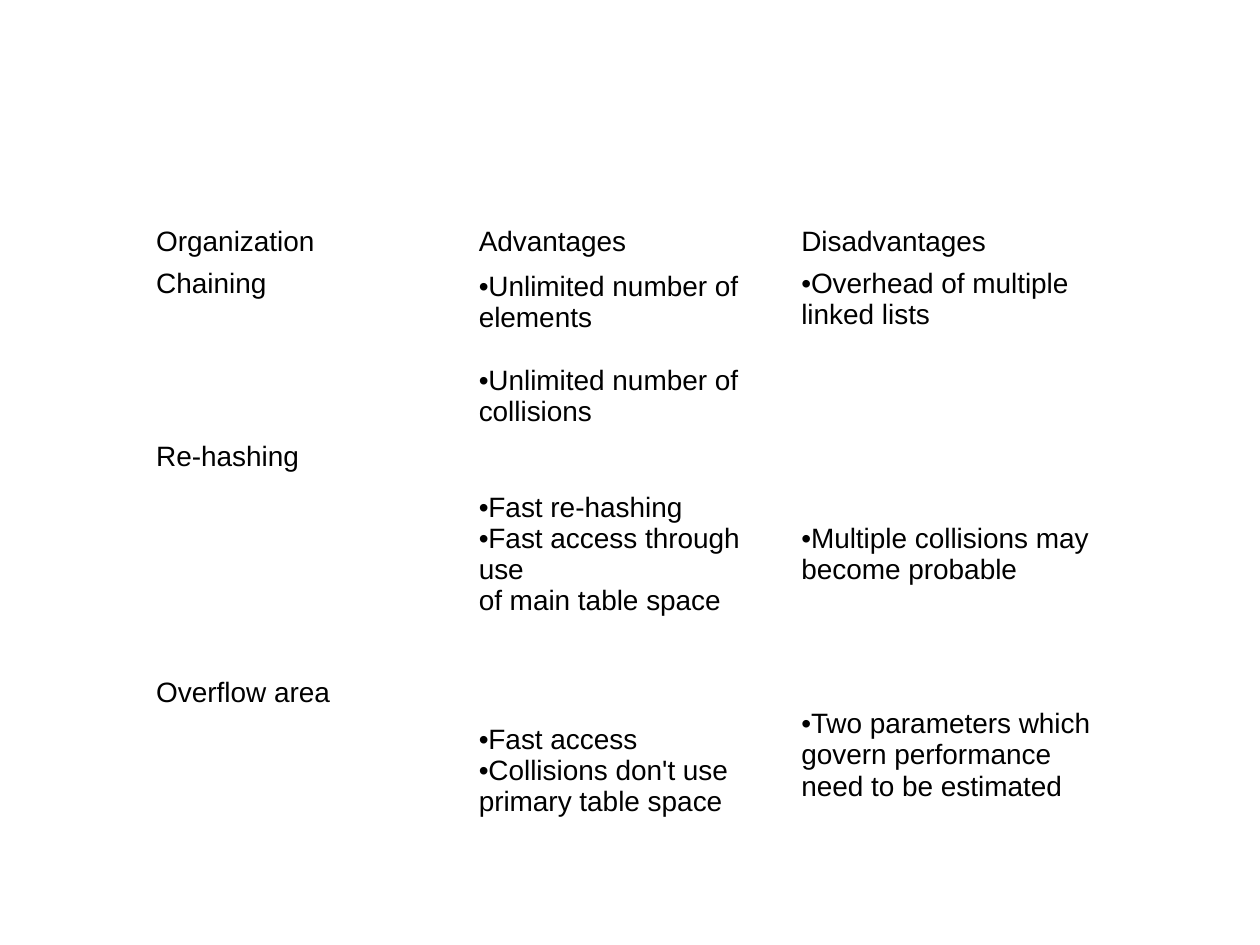
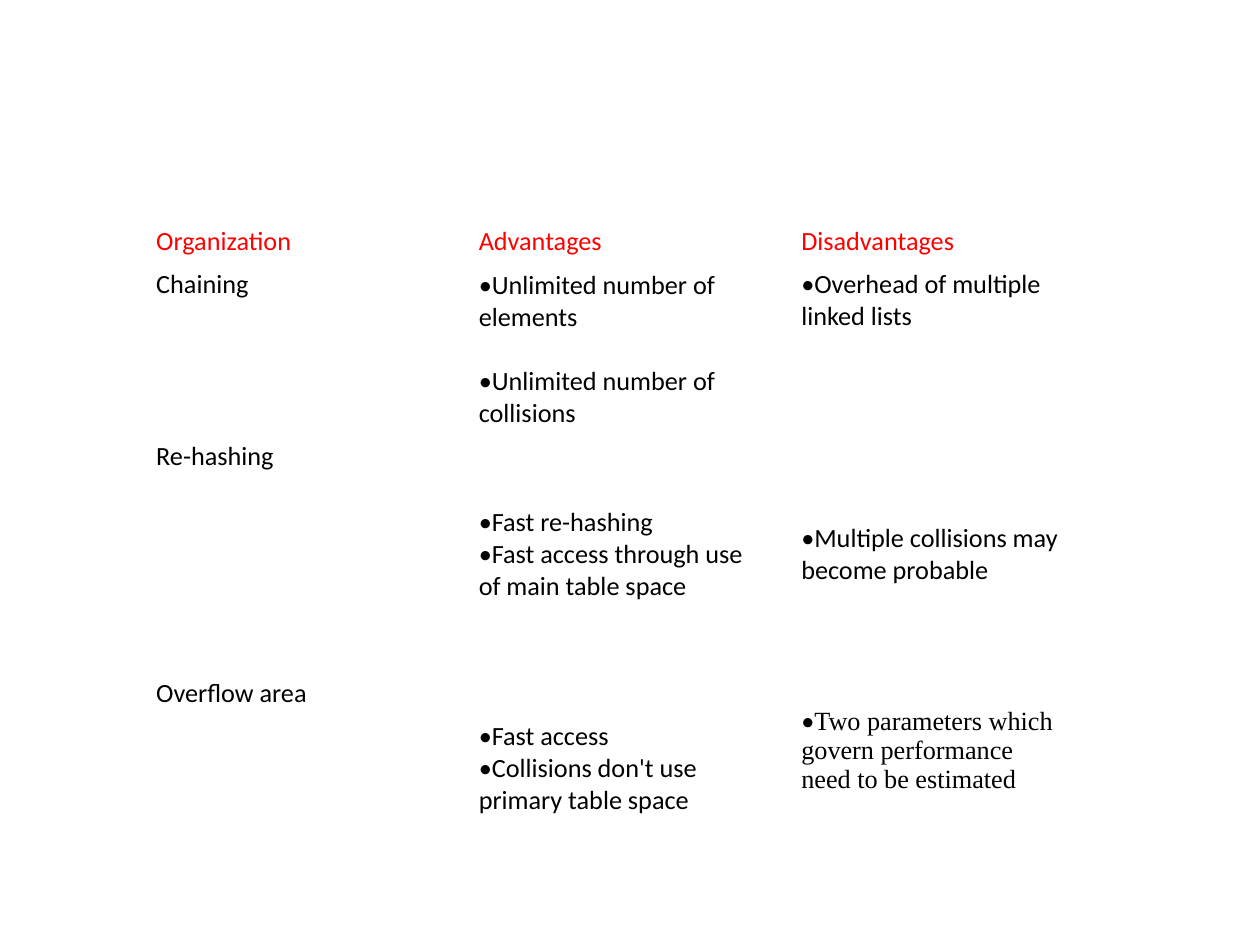
from dataclasses import dataclass

from lxml.etree import SubElement
from pptx import Presentation
from pptx.dml.color import RGBColor
from pptx.enum.text import MSO_ANCHOR
from pptx.oxml.ns import qn
from pptx.util import Inches, Pt

BLACK = RGBColor(0, 0, 0)
RED = RGBColor(255, 0, 0)

SLIDE_WIDTH = Inches(10)
SLIDE_HEIGHT = Inches(7.5)
TABLE_LEFT = Inches(1.15)
TABLE_TOP = Inches(1.75)
TABLE_WIDTH = 3 * Inches(2.56)
SIDE_MARGIN = Inches(0.09)
EDGE_MARGIN = Inches(0.04)
BLANK_LINE = Inches(0.25)

HEADINGS = ("Organization", "Advantages", "Disadvantages")
METHODS = (
    ("Chaining",
     ("Unlimited number of elements", "Unlimited number of collisions"),
     ("Overhead of multiple linked lists",)),
    ("Re-hashing",
     ("Fast re-hashing", "Fast access through use\vof main table space"),
     ("Multiple collisions may become probable",)),
    ("Overflow area",
     ("Fast access", "Collisions don't use primary table space"),
     ("Two parameters which govern performance\vneed to be estimated",)),
)


@dataclass
class Look:
    font: str
    size: int
    heading_color: RGBColor
    estimate_font: str
    overflow_height: float
    estimate_margin: float


LOOKS = (
    Look("Arial", 16, BLACK, "Arial", 1.56, 0.29),
    Look("Calibri", 15, RED, "Times New Roman", 1.52, 0.33),
)


def add_bullet(paragraph, font):
    properties = paragraph._p.get_or_add_pPr()
    properties.set("marL", "0")
    properties.set("indent", "0")
    SubElement(properties, qn("a:buFont")).set("typeface", font)
    SubElement(properties, qn("a:buChar")).set("char", "•")


def fill_cell(cell, lines, look, color=BLACK, font=None, bulleted=False,
              anchor=MSO_ANCHOR.MIDDLE):
    cell.fill.background()
    cell.vertical_anchor = anchor
    cell.margin_left = cell.margin_right = SIDE_MARGIN
    cell.margin_top = cell.margin_bottom = EDGE_MARGIN
    frame = cell.text_frame
    for index, line in enumerate(lines):
        paragraph = frame.add_paragraph() if index else frame.paragraphs[0]
        paragraph.text = line
        if bulleted:
            add_bullet(paragraph, look.font)
        paragraph.font.name = font or look.font
        paragraph.font.size = Pt(look.size)
        paragraph.font.color.rgb = color


def add_comparison_table(slide, left, top, width, look):
    heights = [Inches(rows) for rows in (0.34, 1.37, 1.88, look.overflow_height)]
    table = slide.shapes.add_table(
        len(heights), len(HEADINGS), left, top, width, sum(heights)).table
    table.first_row = table.horz_banding = False
    for row, height in zip(table.rows, heights):
        row.height = height

    for column, heading in enumerate(HEADINGS):
        fill_cell(table.cell(0, column), [heading], look, look.heading_color)

    for row, (method, advantages, disadvantages) in enumerate(METHODS, 1):
        fill_cell(table.cell(row, 0), [method], look, anchor=MSO_ANCHOR.TOP)
        fill_cell(table.cell(row, 1), advantages, look, bulleted=True)
        fill_cell(table.cell(row, 2), disadvantages, look, bulleted=True,
                  font=look.estimate_font if row == len(METHODS) else None,
                  anchor=MSO_ANCHOR.TOP if row == 1 else MSO_ANCHOR.MIDDLE)

    table.cell(1, 1).text_frame.paragraphs[1].space_before = BLANK_LINE
    table.cell(len(METHODS), 2).margin_bottom = Inches(look.estimate_margin)


def main():
    presentation = Presentation()
    presentation.slide_width = SLIDE_WIDTH
    presentation.slide_height = SLIDE_HEIGHT
    for look in LOOKS:
        slide = presentation.slides.add_slide(presentation.slide_layouts[6])
        add_comparison_table(slide, TABLE_LEFT, TABLE_TOP, TABLE_WIDTH, look)
    presentation.save("out.pptx")


if __name__ == "__main__":
    main()
